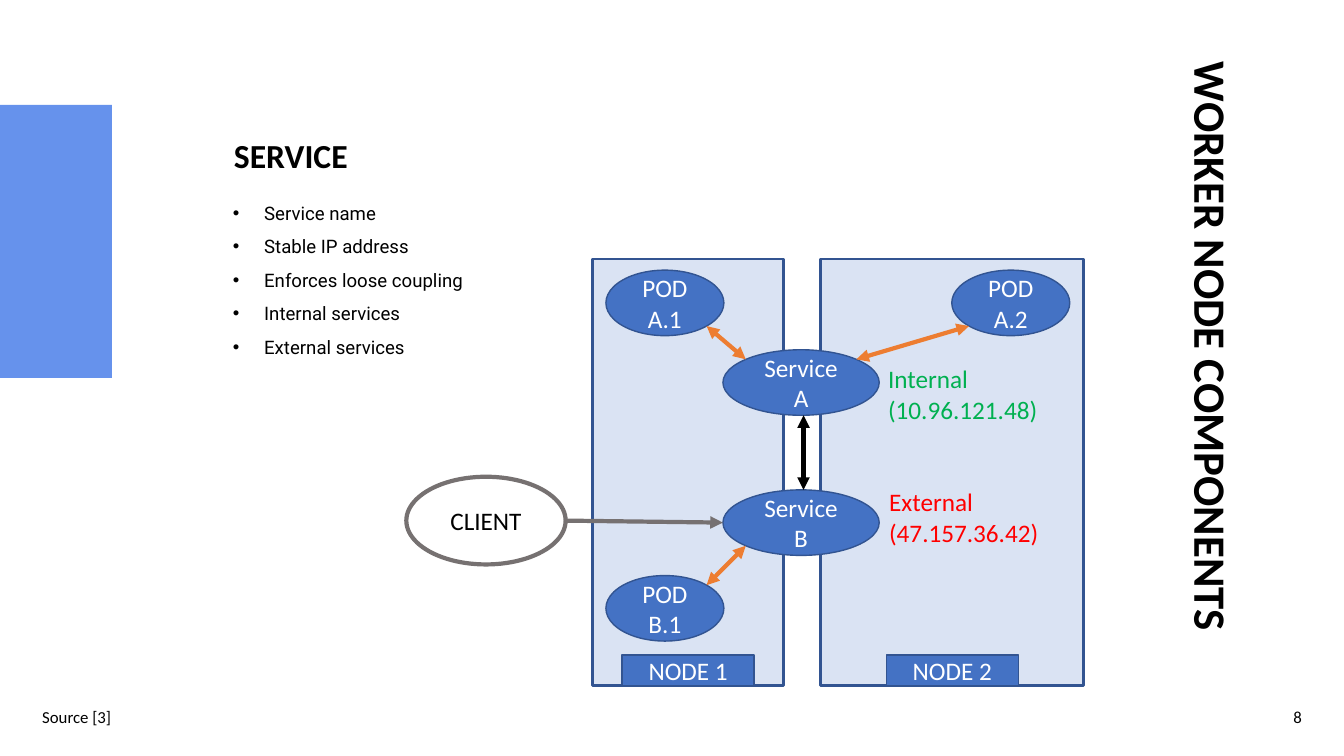
from math import sqrt
from lxml import etree
from pptx import Presentation, util as u
from pptx.dml import color
from pptx.enum import shapes, text
from pptx.oxml import ns

KIND = shapes.MSO_SHAPE
MID = text.MSO_ANCHOR.MIDDLE
BLUE, NAVY, PALE = "4472C4", "325491", "DAE3F3"
ORANGE, GRAY = "ED7D31", "767171"
DIAG = sqrt(0.5)


def rgb(code):
    return color.RGBColor.from_string(code)


def place(item, box):
    item.left, item.top, item.width, item.height = map(u.Inches, box)


def pad(frame, size):
    frame.margin_left = frame.margin_right = u.Inches(size)
    frame.margin_top = frame.margin_bottom = u.Inches(size)


def write(frame, lines, size, tint="000000", bold=False, font="Calibri",
          align=None, space=None):
    frame.word_wrap = True
    for i, line in enumerate(lines):
        para = frame.paragraphs[0] if i == 0 else frame.add_paragraph()
        para.alignment = align
        para.line_spacing = space
        run = para.add_run()
        run.text = line
        run.font.size = u.Pt(size)
        run.font.name = font
        run.font.bold = bold
        run.font.color.rgb = rgb(tint)


def shape(slide, kind, box, fill, line=None, width=1, label=None, tint="FFFFFF"):
    item = slide.shapes.add_shape(kind, *map(u.Inches, box))
    item.shadow.inherit = False
    item.fill.solid()
    item.fill.fore_color.rgb = rgb(fill)
    if line:
        item.line.color.rgb = rgb(line)
        item.line.width = u.Pt(width)
    else:
        item.line.fill.background()
    if label:
        item.text_frame.vertical_anchor = MID
        write(item.text_frame, [label], 18, tint, align=text.PP_ALIGN.CENTER)
    return box


def note(slide, box, lines, size, tint="000000", **style):
    item = slide.shapes.add_textbox(*map(u.Inches, box))
    write(item.text_frame, lines, size, tint, **style)
    return item


def rim(box, dx, dy):
    x, y, w, h = box
    part = DIAG if dx and dy else 1
    return x + w / 2 * (1 + dx * part), y + h / 2 * (1 + dy * part)


def arrow(slide, start, end, tint, both=True):
    link = slide.shapes.add_connector(
        shapes.MSO_CONNECTOR.STRAIGHT, *map(u.Inches, (*start, *end)))
    link.line.color.rgb = rgb(tint)
    link.line.width = u.Pt(3)
    line = link.line._get_or_add_ln()
    for tag in ("a:headEnd", "a:tailEnd") if both else ("a:tailEnd",):
        etree.SubElement(line, ns.qn(tag), type="triangle")
    etree.SubElement(link._element.spPr, ns.qn("a:effectLst"))


def node(slide, box, label):
    x, y, w, h = box
    shape(slide, KIND.RECTANGLE, box, PALE, NAVY, 2)
    wide, high = 1.31, 0.3
    tag = (x + (w - wide) / 2, y + h - high, wide, high)
    shape(slide, KIND.RECTANGLE, tag, BLUE, NAVY, 1, label)


def diagram(slide, box):
    x, y, w, h = box

    def oval(dx, dy, wide, label):
        return shape(slide, KIND.OVAL, (x + dx, y + dy, wide, 0.65),
                     BLUE, NAVY, 1, label)

    node(slide, (x + 1.85, y, 1.89, h), "NODE 1")
    node(slide, (x + 4.11, y, w - 4.11, h), "NODE 2")
    pod1 = oval(1.98, 0.11, 1.17, "POD A.1")
    pod2 = oval(5.41, 0.11, 1.17, "POD A.2")
    pod3 = oval(1.98, 3.14, 1.17, "POD B.1")
    serv1 = oval(3.14, 0.9, 1.55, "Service A")
    serv2 = oval(3.14, 2.29, 1.55, "Service B")
    guest = shape(slide, KIND.OVAL, (x, y + 2.16, 1.58, 0.87),
                  "FFFFFF", GRAY, 3, "CLIENT", "000000")

    arrow(slide, rim(pod1, 1, 1), rim(serv1, -1, -1), ORANGE)
    arrow(slide, rim(pod2, -1, 1), rim(serv1, 1, -1), ORANGE)
    arrow(slide, rim(pod3, 1, -1), rim(serv2, -1, 1), ORANGE)
    arrow(slide, (x + 3.94, y + 1.55), (x + 3.94, y + 2.29), "000000")
    arrow(slide, rim(guest, 1, 0), rim(serv2, -1, 0), GRAY, False)

    note(slide, (x + 4.68, y + 0.99, 2.36, 0.83),
         ["Internal", "(10.96.121.48)"], 18, "00B050")
    note(slide, (x + 4.69, y + 2.21, 2.61, 0.71),
         ["External", "(47.157.36.42)"], 18, "FF0000")


def points(slide, box, lines):
    item = note(slide, box, lines, 13.3, font="Roboto", space=1.5)
    pad(item.text_frame, 0.13)
    for para in item.text_frame.paragraphs:
        prop = para._p.get_or_add_pPr()
        prop.set("marL", str(u.Inches(0.47)))
        prop.set("indent", str(u.Inches(-0.31)))
        etree.SubElement(prop, ns.qn("a:buFont"), typeface="Arial")
        etree.SubElement(prop, ns.qn("a:buChar"), char="•")


def intro(slide, box):
    x, y, w, h = box
    title = slide.shapes.title
    place(title, (x + 0.17, y, 3.82, 0.56))
    frame = title.text_frame
    pad(frame, 0.13)
    frame.vertical_anchor = text.MSO_ANCHOR.BOTTOM
    write(frame, ["SERVICE"], 24, bold=True, space=0.9,
          align=text.PP_ALIGN.LEFT)
    points(slide, (x, y + 0.45, w, h - 0.45), [
        "Service name", "Stable IP address", "Enforces loose coupling",
        "Internal services", "External services"])


def banner(slide, box):
    item = note(slide, box, ["WORKER NODE COMPONENTS"], 32,
                bold=True, space=0.9)
    item.rotation = 90
    item.text_frame.vertical_anchor = MID
    pad(item.text_frame, 0.13)


def footer(slide, box):
    x, y, w, h = box
    note(slide, (x, y, 3.17, h), ["Source [3]"], 12)
    note(slide, (x + w - 0.28, y, 0.28, h), ["8"], 12)


def main():
    deck = Presentation()
    deck.slide_width, deck.slide_height = u.Inches(13.33), u.Inches(7.5)
    slide = deck.slides.add_slide(deck.slide_layouts[5])
    shape(slide, KIND.RECTANGLE, (0, 1.04, 1.11, 2.71), "6692EC")
    diagram(slide, (4.03, 2.57, 6.72, 4.23))
    intro(slide, (2.02, 1.31, 4.55, 2.8))
    banner(slide, (9.03, 3.09, 5.92, 0.71))
    footer(slide, (0.32, 6.96, 12.69, 0.3))
    deck.save("out.pptx")


if __name__ == "__main__":
    main()
